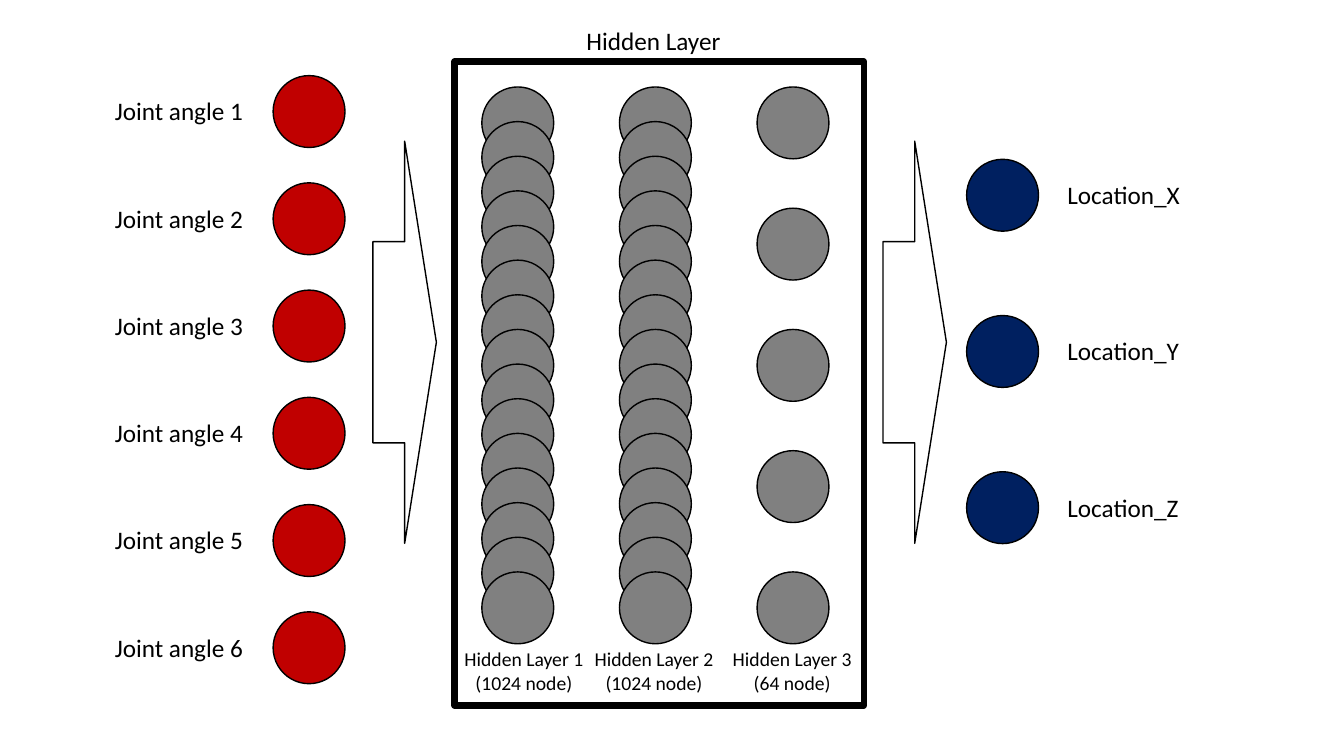
from pptx import Presentation
from pptx.dml.color import RGBColor
from pptx.enum.shapes import MSO_SHAPE
from pptx.enum.text import MSO_AUTO_SIZE, PP_ALIGN
from pptx.util import Inches, Pt

CIRCLE = MSO_SHAPE.OVAL
RECTANGLE = MSO_SHAPE.RECTANGLE
ARROW = MSO_SHAPE.RIGHT_ARROW
FIT_TEXT = MSO_AUTO_SIZE.SHAPE_TO_FIT_TEXT
CENTER = PP_ALIGN.CENTER

BLACK = RGBColor(0x00, 0x00, 0x00)
GRAY = RGBColor(0x80, 0x80, 0x80)
RED = RGBColor(0xC0, 0x00, 0x00)
NAVY = RGBColor(0x00, 0x20, 0x60)

FONT = "Calibri"
WIDTH = Inches(13.33)
HEIGHT = Inches(7.5)

# Lengths below are percentages of the slide's width or height.
NODE_WIDTH = 5.35
NODE_HEIGHT = NODE_WIDTH * WIDTH / HEIGHT
LABEL_HEIGHT = 5.33
LABEL_DROP = 2
HIDDEN_LEFT = 35.85
HIDDEN_PITCH = 10.24
HIDDEN_LAYERS = [
    # name, node count, circles drawn, left edge of caption
    ("Hidden Layer 1", "(1024 node)", 15, 33.82),
    ("Hidden Layer 2", "(1024 node)", 15, 43.5),
    ("Hidden Layer 3", "(64 node)", 5, 53.78),
]


def place(left, top, width, height):
    """Turn percentages of the slide into lengths."""
    return (int(WIDTH * left / 100), int(HEIGHT * top / 100),
            int(WIDTH * width / 100), int(HEIGHT * height / 100))


def spread(first, last, count):
    """Return evenly spaced positions from first to last."""
    return [first + (last - first) * index / (count - 1) for index in range(count)]


def add_outline(page, kind, area, fill=None, weight=1):
    shape = page.shapes.add_shape(kind, *place(*area))
    shape.shadow.inherit = False
    if fill is None:
        shape.fill.background()
    else:
        shape.fill.solid()
        shape.fill.fore_color.rgb = fill
    shape.line.color.rgb = BLACK
    shape.line.width = Pt(weight)


def add_label(page, text, area, size=18):
    """Add text whose second and later lines are centred."""
    box = page.shapes.add_textbox(*place(*area))
    frame = box.text_frame
    frame.text = text
    frame.word_wrap = False
    frame.auto_size = FIT_TEXT
    for index, para in enumerate(frame.paragraphs):
        if index:
            para.alignment = CENTER
        for span in para.runs:
            span.font.name = FONT
            span.font.size = Pt(size)
            span.font.color.rgb = BLACK


def add_nodes(page, left, tops, fill):
    for top in tops:
        add_outline(page, CIRCLE, (left, top, NODE_WIDTH, NODE_HEIGHT), fill)


def add_named_nodes(page, names, left, first, last, fill, label_left, label_width):
    tops = spread(first, last, len(names))
    add_nodes(page, left, tops, fill)
    for name, top in zip(names, tops):
        add_label(page, name, (label_left, top + LABEL_DROP, label_width, LABEL_HEIGHT))


def add_hidden_layers(page):
    for index, (name, nodes, count, caption_left) in enumerate(HIDDEN_LAYERS):
        add_nodes(page, HIDDEN_LEFT + index * HIDDEN_PITCH,
                  spread(11.5, 75.65, count), GRAY)
        add_label(page, f"{name}\n{nodes}", (caption_left, 84.93, 10.43, 7.6), 14)
    add_outline(page, RECTANGLE, (33.82, 8.13, 30.45, 85.2), weight=4.5)
    add_label(page, "Hidden Layer", (42.9, 2.67, 11.62, LABEL_HEIGHT))


def main():
    deck = Presentation()
    deck.slide_width = WIDTH
    deck.slide_height = HEIGHT
    page = deck.slides.add_slide(deck.slide_layouts.get_by_name("Blank"))

    joints = [f"Joint angle {number}" for number in range(1, 7)]
    locations = [f"Location_{axis}" for axis in "XYZ"]
    add_named_nodes(page, joints, 20.32, 10, 80.93, RED, 7.8, 11.18)
    add_hidden_layers(page)
    add_named_nodes(page, locations, 71.92, 21.07, 62.4, NAVY, 78.68, 9.95)
    for left in (27.75, 65.7):
        add_outline(page, ARROW, (left, 18.67, 4.72, 53.2))

    deck.save("out.pptx")


if __name__ == "__main__":
    main()
